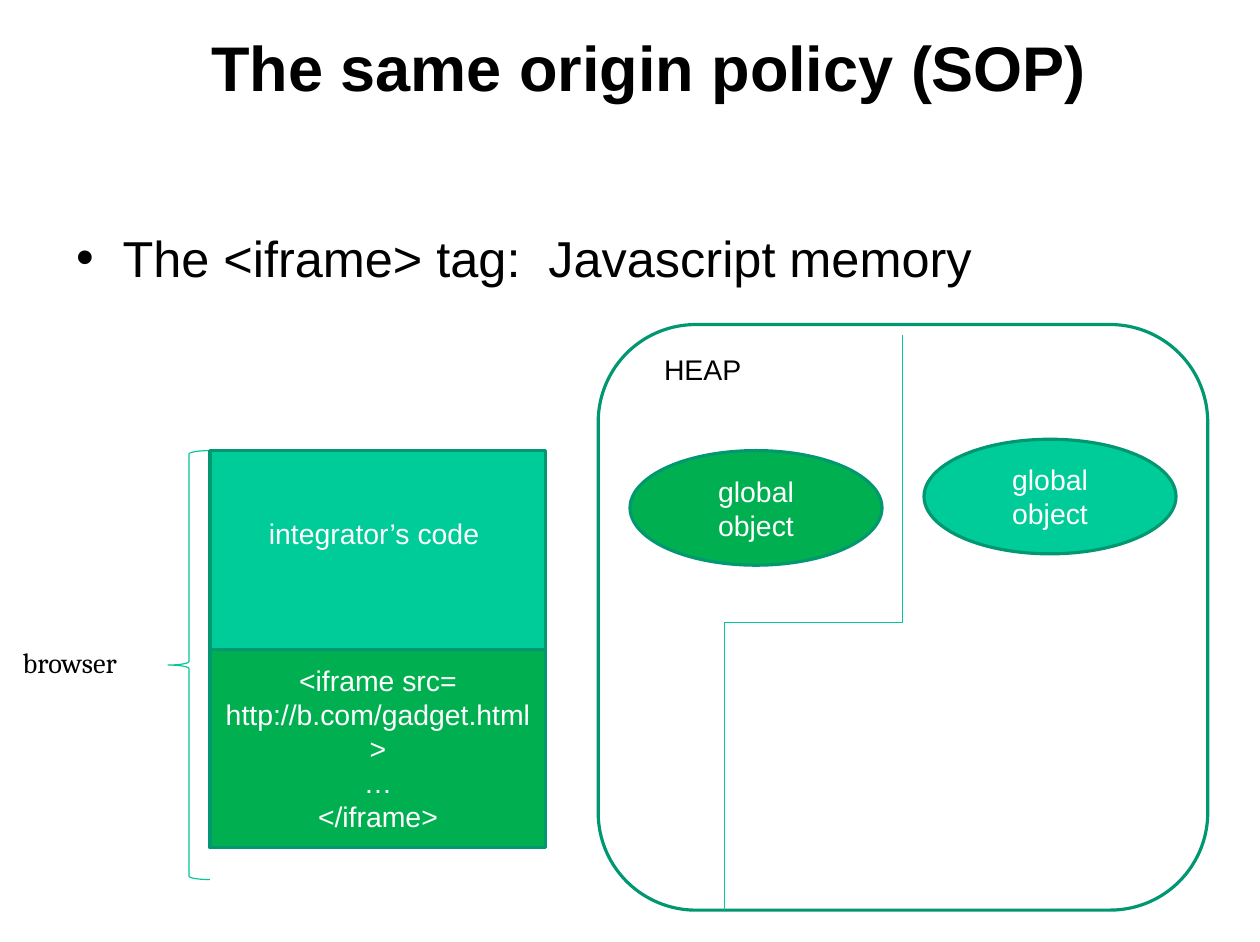
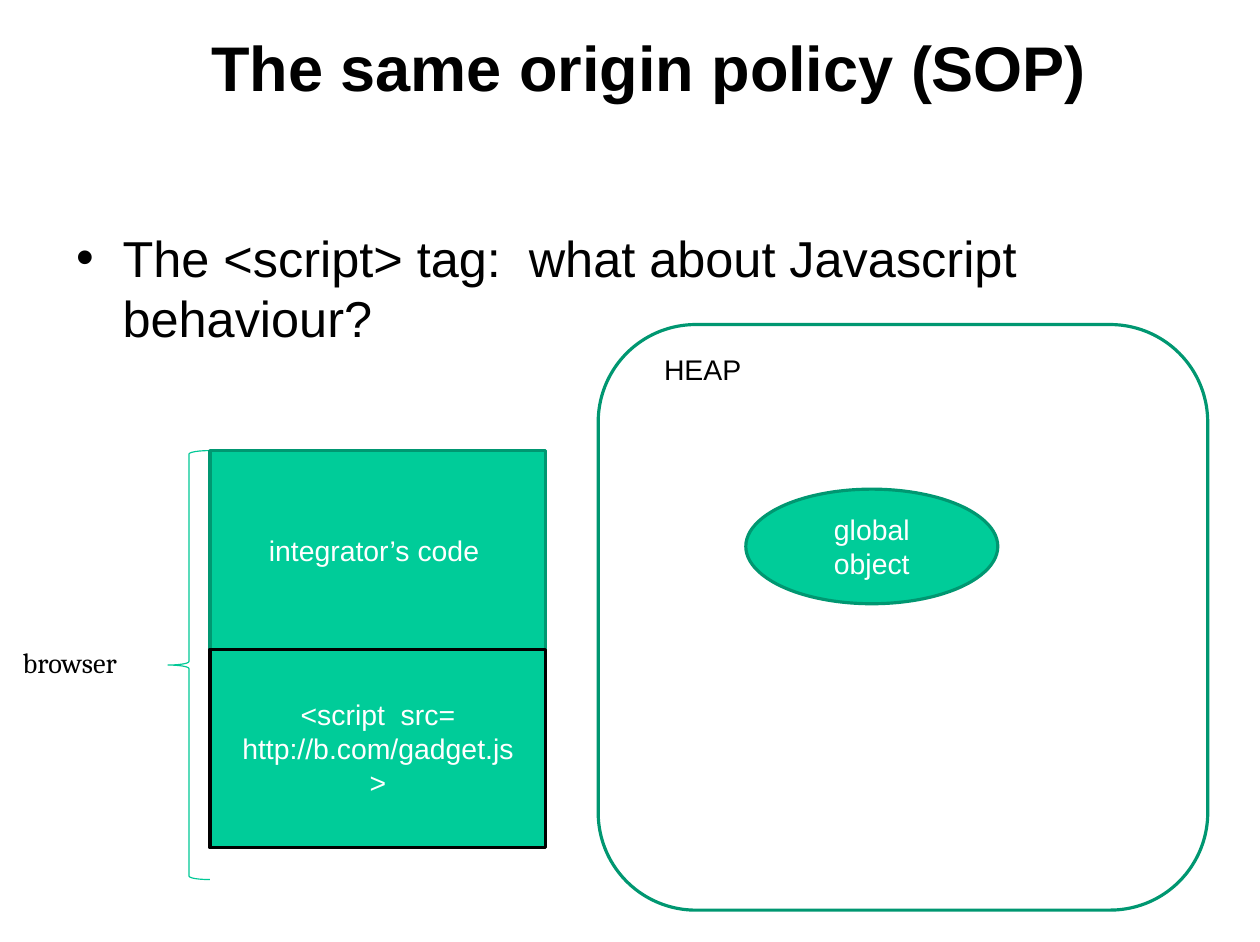
from pptx import Presentation
from pptx.dml.color import RGBColor
from pptx.enum.shapes import MSO_CONNECTOR, MSO_SHAPE
from pptx.enum.text import MSO_ANCHOR, MSO_AUTO_SIZE, PP_ALIGN
from pptx.oxml.ns import qn
from pptx.util import Inches, Pt
from lxml.etree import SubElement

# Shared look
BLACK, WHITE = "000000", "FFFFFF"
MINT, GREEN = "00CC99", "00B050"
OUTLINE, THIN_LINE = "009771", "00C896"
SANS, SERIF = "Arial", "Cambria"
TITLE = "The same origin policy (SOP)"

# Shared geometry in inches: the two code blocks are stacked
CODE_LEFT, CODE_TOP, CODE_WIDTH, CODE_HEIGHT = 1.85, 3.97, 2.96, 1.75
GLOBAL_WIDTH, GLOBAL_HEIGHT = 2.22, 1.01


def color(hex_code):
    return RGBColor.from_string(hex_code)


def place(shape, left, top, width, height):
    shape.left, shape.top = Inches(left), Inches(top)
    shape.width, shape.height = Inches(width), Inches(height)


def write(shape, lines, size=18, font=SANS, ink=BLACK, bold=False,
          align=PP_ALIGN.LEFT, anchor=MSO_ANCHOR.TOP, bottom=0.06):
    """Fill the text frame with one paragraph per line."""
    frame = shape.text_frame
    frame.word_wrap = True
    frame.auto_size = MSO_AUTO_SIZE.NONE
    frame.vertical_anchor = anchor
    frame.margin_left = frame.margin_right = Inches(0.11)
    frame.margin_top, frame.margin_bottom = Inches(0.06), Inches(bottom)
    for index, line in enumerate(lines):
        paragraph = frame.add_paragraph() if index else frame.paragraphs[0]
        paragraph.alignment = align
        run = paragraph.add_run()
        run.text = line
        run.font.size, run.font.name, run.font.bold = Pt(size), font, bold
        run.font.color.rgb = color(ink)


def add_figure(slide, preset, box, fill=None, line=OUTLINE, weight=2):
    figure = slide.shapes.add_shape(preset, *map(Inches, box))
    figure.shadow.inherit = False
    if fill:
        figure.fill.solid()
        figure.fill.fore_color.rgb = color(fill)
    else:
        figure.fill.background()
    figure.line.color.rgb = color(line)
    figure.line.width = Pt(weight)
    return figure


def add_labelled(slide, preset, box, lines, fill, line=OUTLINE, bottom=0.06):
    figure = add_figure(slide, preset, box, fill, line)
    write(figure, lines, ink=WHITE, align=PP_ALIGN.CENTER,
          anchor=MSO_ANCHOR.MIDDLE, bottom=bottom)


def add_label(slide, box, text, font=SANS):
    write(slide.shapes.add_textbox(*map(Inches, box)), [text], font=font)


def add_code(slide, row, lines, fill, line=OUTLINE, bottom=0.06):
    box = CODE_LEFT, CODE_TOP + row * CODE_HEIGHT, CODE_WIDTH, CODE_HEIGHT
    add_labelled(slide, MSO_SHAPE.RECTANGLE, box, lines, fill, line, bottom)


def add_global_object(slide, left, top, fill):
    box = left, top, GLOBAL_WIDTH, GLOBAL_HEIGHT
    add_labelled(slide, MSO_SHAPE.OVAL, box, ["global object"], fill)


def add_heap_divider(slide, start, end):
    """Elbow that runs down, across and down again: a quarter-turned one."""
    (x1, y1), (x2, y2) = start, end
    middle_x, middle_y = (x1 + x2) / 2, (y1 + y2) / 2
    half_run, half_step = (y2 - y1) / 2, (x1 - x2) / 2
    divider = slide.shapes.add_connector(
        MSO_CONNECTOR.ELBOW,
        Inches(middle_x - half_run), Inches(middle_y - half_step),
        Inches(middle_x + half_run), Inches(middle_y + half_step))
    divider.line.color.rgb = color(THIN_LINE)
    divider.line.width = Pt(0.75)
    properties = divider.element.spPr
    properties.find(qn("a:xfrm")).set("rot", str(90 * 60000))
    SubElement(properties, qn("a:effectLst"))


def add_sop_slide(deck, point):
    """Title, bullet, browser brace and heap: the parts on every slide."""
    slide = deck.slides.add_slide(deck.slide_layouts[1])
    title, body = slide.shapes.title, slide.placeholders[1]
    place(title, 1.75, 0.08, 9.17, 1)
    write(title, [TITLE], 40, bold=True, anchor=MSO_ANCHOR.MIDDLE)

    place(body, 0.56, 1.94, 9.06, 5.9)
    write(body, [point], 32)
    indents = body.text_frame.paragraphs[0]._p.get_or_add_pPr()
    indents.set("marL", str(Inches(0.41)))
    indents.set("indent", str(Inches(-0.41)))

    add_figure(slide, MSO_SHAPE.LEFT_BRACE, (1.48, CODE_TOP, 0.37, 3.78),
               line=THIN_LINE, weight=0.75)
    add_label(slide, (0.09, 5.62, 1.39, 0.41), "browser", SERIF)
    add_figure(slide, MSO_SHAPE.ROUNDED_RECTANGLE, (5.27, 2.86, 5.37, 5.16))
    add_label(slide, (5.74, 3.04, 1.94, 0.41), "HEAP")
    return slide


def main():
    deck = Presentation()
    deck.slide_width, deck.slide_height = Inches(11.1), Inches(8.3)

    # Frame: each origin has its own part of the heap
    iframe = add_sop_slide(deck, "The <iframe> tag:  Javascript memory")
    add_code(iframe, 0, ["integrator’s code "], MINT, bottom=0.36)
    add_code(iframe, 1, ["<iframe src= http://b.com/gadget.html >", "…",
                         "</iframe>"], GREEN)
    add_global_object(iframe, 8.14, 3.87, MINT)
    add_global_object(iframe, 5.55, 3.97, GREEN)
    add_heap_divider(iframe, (7.95, 2.95), (6.38, 8.02))

    # Script: one shared global object
    script = add_sop_slide(
        deck, "The <script> tag:  what about Javascript behaviour?")
    add_code(script, 0, ["integrator’s code "], MINT)
    add_code(script, 1, ["<script  src=", "http://b.com/gadget.js", ">"],
             MINT, line=BLACK)
    add_global_object(script, 6.57, 4.31, MINT)

    deck.save("out.pptx")


if __name__ == "__main__":
    main()
